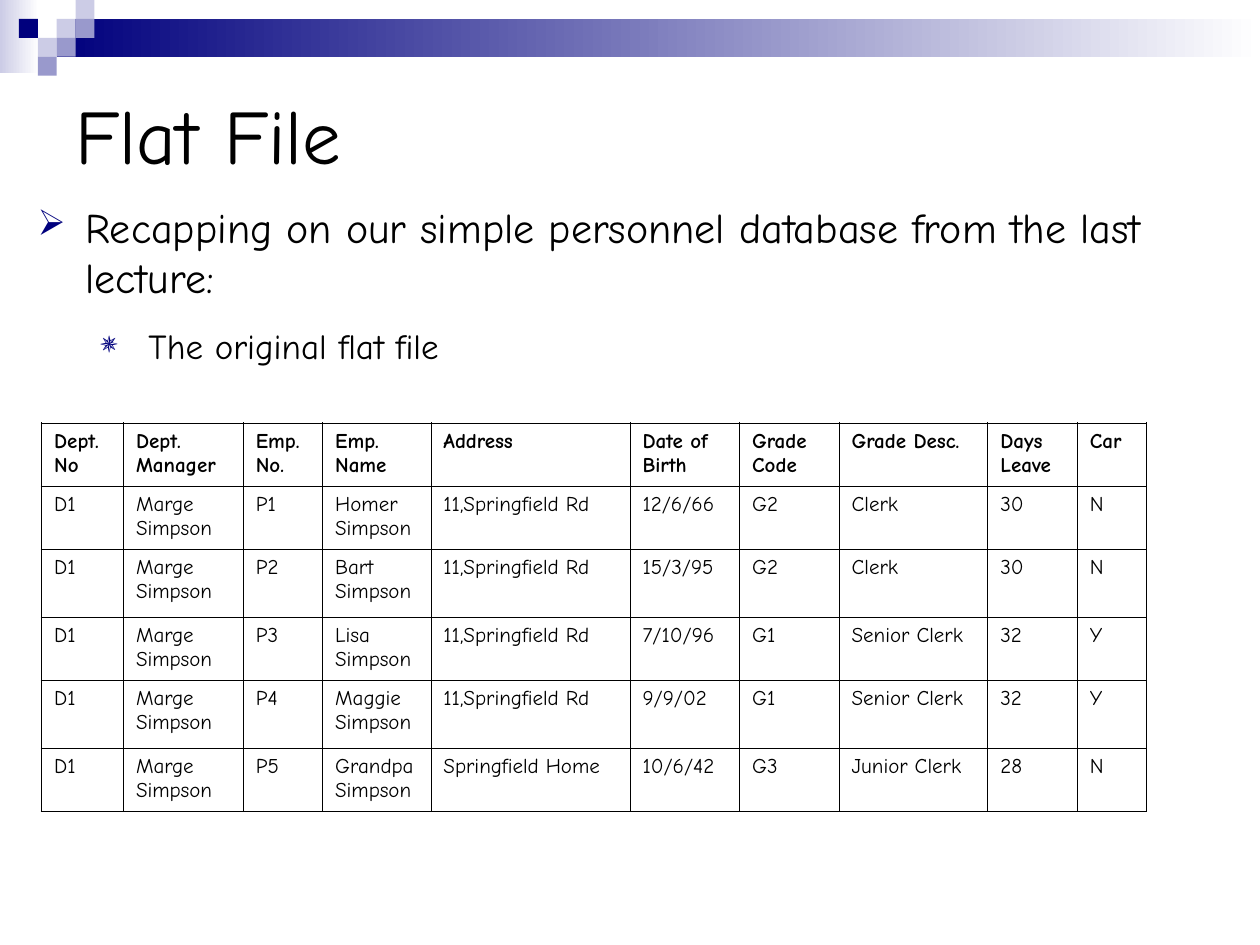
from lxml.etree import SubElement as Sub
from pptx import Presentation
from pptx.dml.color import RGBColor
from pptx.enum.shapes import MSO_SHAPE as Shape
from pptx.enum.text import MSO_ANCHOR as Anchor
from pptx.oxml import parse_xml
from pptx.oxml.ns import nsdecls, qn
from pptx.util import Inches, Pt

NAVY, MID, PALE, WHITE, BLACK = "00007D", "9999CC", "CCCCE6", "FFFFFF", "000000"
THIN, THICK = 0.45, 1.08
TILE_WIDTH, TILE_HEIGHT = 1.5, 2
TILES = [(3, 1, PALE), (4, 0, PALE), (4, 1, MID), (2, 2, PALE),
         (1, 1, NAVY), (3, 2, MID), (2, 3, MID)]
COLUMNS = [6.5, 9.5, 6.3, 8.6, 15.8, 8.7, 7.9, 11.8, 7.1, 5.5]
ROWS = [6.67, 6.67, 7.2, 6.67, 7.2, 6.67]
HEADINGS = ["Dept.No", "Dept. Manager", "Emp. No.", "Emp. Name", "Address",
            "Date of Birth", "Grade Code", "Grade Desc.", "Days Leave", "Car"]
HOME = "11,Springfield Rd"
STAFF = [
    ["P1", "Homer Simpson", HOME, "12/6/66", "G2", "Clerk", "30", "N"],
    ["P2", "Bart Simpson", HOME, "15/3/95", "G2", "Clerk", "30", "N"],
    ["P3", "Lisa Simpson", HOME, "7/10/96", "G1", "Senior Clerk", "32", "Y"],
    ["P4", "Maggie Simpson", HOME, "9/9/02", "G1", "Senior Clerk", "32", "Y"],
    ["P5", "Grandpa Simpson", "Springfield Home", "10/6/42", "G3", "Junior Clerk", "28", "N"],
]


def color(value):
    return RGBColor.from_string(value)


class Painter:
    """Draws styled elements on one slide, with lengths in percent of its size."""

    font = "Comic Neue"

    def __init__(self, deck):
        self.deck = deck
        self.page = deck.slides.add_slide(deck.slide_layouts[6])

    def across(self, share):
        return int(self.deck.slide_width * share / 100)

    def down(self, share):
        return int(self.deck.slide_height * share / 100)

    def place(self, left, top, width, height):
        return self.across(left), self.down(top), self.across(width), self.down(height)

    def block(self, area, start, end=None):
        shape = self.page.shapes.add_shape(Shape.RECTANGLE, *self.place(*area))
        shape.shadow.inherit = False
        shape.line.fill.background()
        if end is None:
            shape.fill.solid()
            shape.fill.fore_color.rgb = color(start)
        else:
            shape.fill.gradient()
            shape.fill.gradient_angle = 0
            for stop, value in zip(shape.fill.gradient_stops, (start, end)):
                stop.color.rgb = color(value)

    def add_text(self, para, text, size, bold=False):
        span = para.add_run()
        span.text = text
        span.font.name = self.font
        span.font.size = Pt(size)
        span.font.bold = bold
        span.font.color.rgb = color(BLACK)

    def text_box(self, area, anchor=Anchor.TOP):
        box = self.page.shapes.add_textbox(*self.place(*area))
        box.text_frame.word_wrap = True
        box.text_frame.vertical_anchor = anchor
        return box.text_frame

    def bullet(self, para, mark, indent):
        props = para._p.get_or_add_pPr()
        props.set("marL", str(Inches(indent)))
        props.set("indent", str(-Inches(0.38)))
        Sub(Sub(props, qn("a:buClr")), qn("a:srgbClr")).set("val", NAVY)
        Sub(props, qn("a:buSzPct")).set("val", "85000")
        Sub(props, qn("a:buChar")).set("char", mark)

    def border(self, cell, widths):
        props = cell._tc.get_or_add_tcPr()
        for index, (side, width) in enumerate(zip("LRTB", widths)):
            props.insert(index, parse_xml(
                f'<a:ln{side} {nsdecls("a")} w="{Pt(width)}"><a:solidFill>'
                f'<a:srgbClr val="{BLACK}"/></a:solidFill></a:ln{side}>'))

    def table(self, area, records):
        last_row, last_column = len(ROWS) - 1, len(COLUMNS) - 1
        grid = self.page.shapes.add_table(len(ROWS), len(COLUMNS), *self.place(*area)).table
        grid.first_row = grid.horz_banding = False
        for column, share in zip(grid.columns, COLUMNS):
            column.width = self.across(share)
        for row, share in zip(grid.rows, ROWS):
            row.height = self.down(share)
        for r, record in enumerate(records):
            for c, text in enumerate(record):
                cell = grid.cell(r, c)
                cell.fill.background()
                outer = (c == 0, c == last_column, r == 0, r == last_row)
                self.border(cell, [THICK if edge else THIN for edge in outer])
                self.add_text(cell.text_frame.paragraphs[0], text, 12, bold=r == 0)


def main():
    deck = Presentation()
    deck.slide_width, deck.slide_height = Inches(10), Inches(7.5)
    painter = Painter(deck)

    painter.block((0, 0, 3.1, 7.73), PALE, WHITE)
    painter.block((4.5, 2, 95.5, 4), NAVY, WHITE)
    for column, row, value in TILES:
        painter.block((column * TILE_WIDTH, row * TILE_HEIGHT, TILE_WIDTH, TILE_HEIGHT), value)

    title = painter.text_box((5, 6.67, 90, 14.93), Anchor.MIDDLE)
    painter.add_text(title.paragraphs[0], "Flat File", 44)

    records = [HEADINGS] + [["D1", "Marge Simpson"] + person for person in STAFF]
    painter.table((3.3, 44.8, 87.7, 41.07), records)

    body = painter.text_box((2, 20.67, 94.5, 18.8))
    para = body.paragraphs[0]
    painter.bullet(para, "➢", 0.38)
    painter.add_text(para, "Recapping on our simple personnel database from the last lecture:", 24)
    para = body.add_paragraph()
    para.level = 1
    para.space_before = Pt(12.5)
    painter.bullet(para, "✵", 0.88)
    painter.add_text(para, "The original flat file", 20)

    deck.save("out.pptx")


if __name__ == "__main__":
    main()
